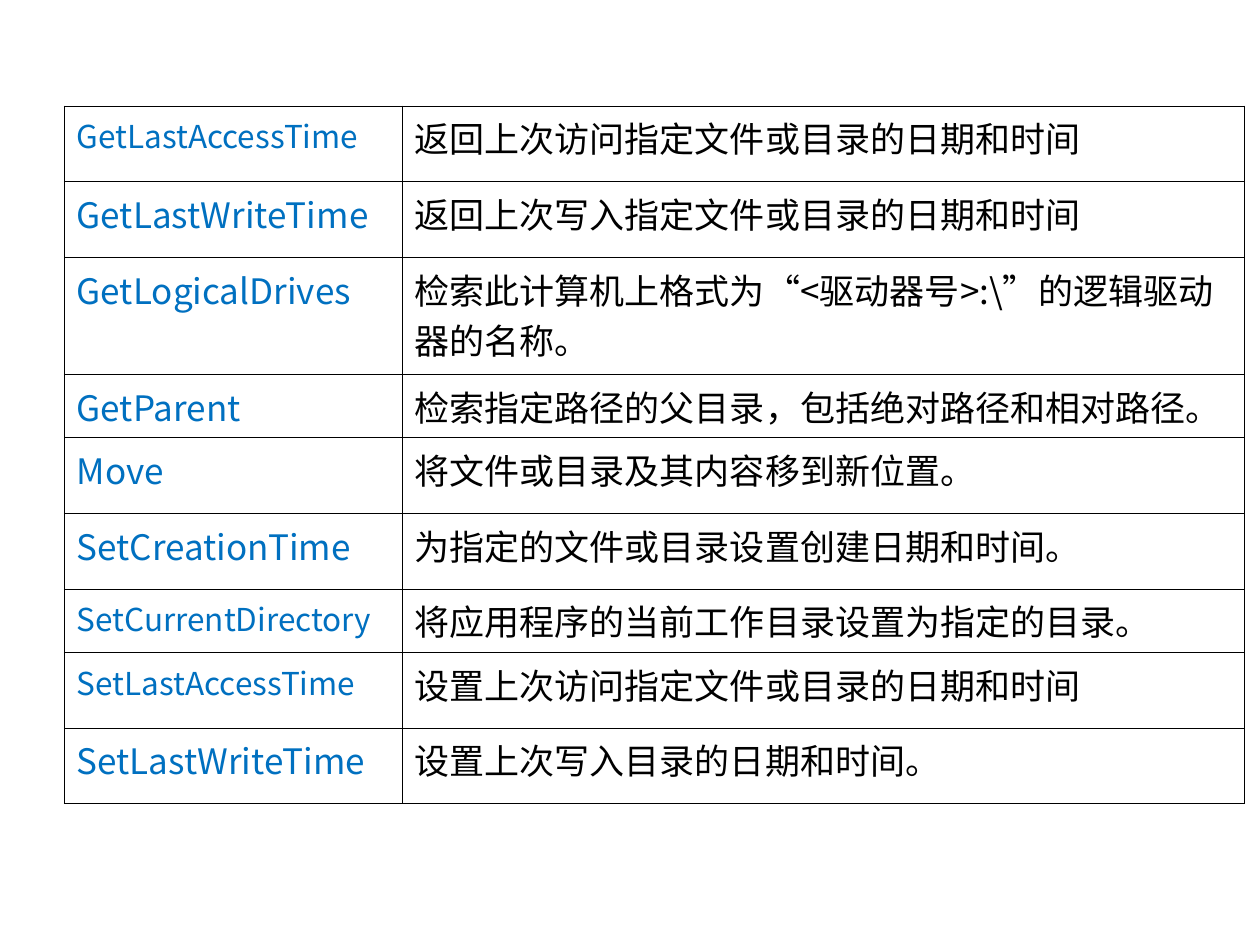
from lxml import etree
from pptx import Presentation
from pptx import util as u
from pptx.dml.color import RGBColor
from pptx.oxml.ns import qn

COLORS = {"method": "0070C0", "body": "000000", "border": "000000"}
FONT = "Noto Sans CJK SC"
BORDER_PT = 0.45

# Shares of the slide's width and height
LEFT, TOP = 0.051, 0.112
COLUMNS = (0.268, 0.669)
ROW, TALL, SHORT = 0.08, 0.124, 0.067

# Method, its text size, description, row height
METHODS = [
    ("GetLastAccessTime", 18, "返回上次访问指定文件或目录的日期和时间", ROW),
    ("GetLastWriteTime", 20, "返回上次写入指定文件或目录的日期和时间", ROW),
    ("GetLogicalDrives", 20, r"检索此计算机上格式为“<驱动器号>:\”的逻辑驱动器的名称。", TALL),
    ("GetParent", 20, "检索指定路径的父目录，包括绝对路径和相对路径。", SHORT),
    ("Move", 20, "将文件或目录及其内容移到新位置。", ROW),
    ("SetCreationTime", 20, "为指定的文件或目录设置创建日期和时间。", ROW),
    ("SetCurrentDirectory", 18, "将应用程序的当前工作目录设置为指定的目录。", SHORT),
    ("SetLastAccessTime", 18, "设置上次访问指定文件或目录的日期和时间", ROW),
    ("SetLastWriteTime", 20, "设置上次写入目录的日期和时间。", ROW),
]


class Page:
    def __init__(self, deck):
        self.width, self.height = deck.slide_width, deck.slide_height
        self.slide = deck.slides.add_slide(deck.slide_layouts[6])

    def x(self, share):
        return round(self.width * share)

    def y(self, share):
        return round(self.height * share)

    def table(self, left, top, columns, rows):
        grid = self.slide.shapes.add_table(
            len(rows), len(columns), self.x(left), self.y(top),
            self.x(sum(columns)), self.y(sum(rows))).table
        grid.first_row = grid.horz_banding = False
        for column, share in zip(grid.columns, columns):
            column.width = self.x(share)
        for row, share in zip(grid.rows, rows):
            row.height = self.y(share)
        return grid

    def cell(self, cell, words, size, color):
        paragraph = cell.text_frame.paragraphs[0]
        run = paragraph.add_run()
        run.text = words
        for name, value in {"name": FONT, "size": u.Pt(size)}.items():
            setattr(run.font, name, value)
        run.font.color.rgb = RGBColor.from_string(COLORS[color])
        east_asian = etree.SubElement(run.font._element, qn("a:ea"))
        east_asian.set("typeface", FONT)
        self.borders(cell)
        cell.fill.background()

    def borders(self, cell):
        properties = cell._tc.get_or_add_tcPr()
        for side in ("a:lnL", "a:lnR", "a:lnT", "a:lnB"):
            line = etree.SubElement(properties, qn(side), w=str(u.Pt(BORDER_PT)))
            fill = etree.SubElement(line, qn("a:solidFill"))
            etree.SubElement(fill, qn("a:srgbClr"), val=COLORS["border"])


def main():
    deck = Presentation()
    deck.slide_width, deck.slide_height = u.Inches(10), u.Inches(7.5)
    page = Page(deck)

    # Directory methods and what they do
    grid = page.table(LEFT, TOP, COLUMNS, [height for *_, height in METHODS])
    for row, (method, size, description, _) in enumerate(METHODS):
        page.cell(grid.cell(row, 0), method, size, "method")
        page.cell(grid.cell(row, 1), description, 20, "body")

    deck.save("out.pptx")


if __name__ == "__main__":
    main()
